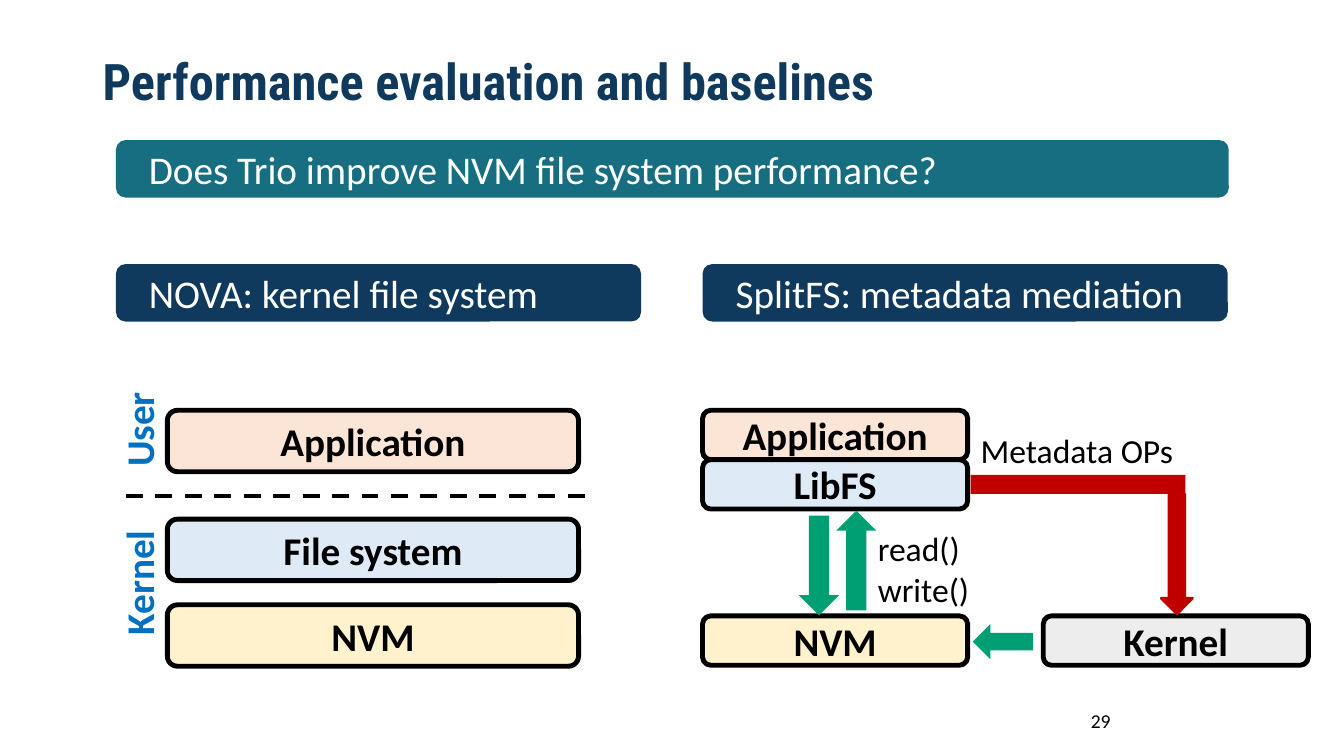
"""Build the slide on performance evaluation and its file system baselines."""
from dataclasses import dataclass

from lxml import etree
from pptx import Presentation
from pptx import util as u
from pptx.dml.color import RGBColor
from pptx.enum import dml, shapes, text
from pptx.oxml.ns import qn

COLS, ROWS = 133.33, 75
CELL = u.Inches(0.1)
LEFT, RIGHT = 11.5, 69.7
NAVY, TEAL, BLUE = "0F3A5D", "176E80", "0070C0"
PEACH, SKY, SAND, GRAY = "FBE5D6", "DEEBF7", "FFF2CC", "EDEDED"
GREEN, RED, BLACK, WHITE = "009E73", "C00000", "000000", "FFFFFF"


@dataclass
class Banner:
    """A coloured heading bar."""
    x: float
    y: float
    w: float
    words: str
    fill: str


@dataclass
class Layer:
    """An outlined box of a system stack."""
    x: float
    y: float
    w: float
    h: float
    words: str
    fill: str


@dataclass
class Arrow:
    """A block arrow, turned clockwise by an angle."""
    x: float
    y: float
    w: float
    h: float
    turn: int
    color: str
    border: float = 0


@dataclass
class Label:
    """A piece of free text."""
    x: float
    y: float
    w: float
    h: float
    words: str
    size: int = 24
    color: str = BLACK
    bold: bool = False
    turn: int = 0
    font: str = "Calibri"
    centered: bool = False
    middle: bool = False
    spacing: float = 1.0


BANNERS = [
    Banner(LEFT, 13.9, 110.4, "Does Trio improve NVM file system performance?", TEAL),
    Banner(LEFT, 26.2, 52.1, "NOVA: kernel file system", NAVY),
    Banner(RIGHT, 26.2, 52.1, "SplitFS: metadata mediation", NAVY),
]
LAYERS = [
    Layer(16.6, 60, 40.8, 6.1, "NVM", SAND),
    Layer(16.6, 40.7, 40.8, 6.1, "Application", PEACH),
    Layer(16.6, 51.5, 40.8, 6.1, "File system", SKY),
    Layer(RIGHT, 40.7, 26.3, 4.9, "Application", PEACH),
    Layer(RIGHT, 45.6, 26.3, 4.9, "LibFS", SKY),
    Layer(RIGHT, 61.1, 26.3, 4.9, "NVM", SAND),
    Layer(103.5, 61.1, 26.3, 4.9, "Kernel", GRAY),
]
ARROWS = [
    Arrow(76.3, 54.1, 9.9, 4, 90, GREEN),
    Arrow(80, 53.6, 9.9, 4, 270, GREEN),
    Arrow(110.8, 53.4, 11.9, 3.1, 90, RED, 2),
    Arrow(96.5, 61.9, 6, 3.5, 180, GREEN),
]
LABELS = [
    Label(9.2, 4, 120.4, 8.7, "Performance evaluation and baselines", 36, NAVY, True,
          font="Roboto Condensed", middle=True, spacing=0.9),
    Label(94.2, 69.5, 30, 4, "29", 14, centered=True, middle=True),
    Label(8.7, 39.4, 10.1, 5.7, "User", 28, BLUE, True, 270),
    Label(7.4, 54.8, 12.7, 5.7, "Kernel", 28, BLUE, True, 270),
    Label(86.1, 51.9, 11.7, 9.9, "read()\nwrite()"),
    Label(96.3, 42.2, 21.3, 4.9, "Metadata OPs"),
]


def cells(*counts: float) -> list[u.Length]:
    """Turn counts of grid cells into lengths."""
    return [u.Emu(round(n * CELL)) for n in counts]


def rgb(color: str) -> RGBColor:
    """Turn a hex string into a colour."""
    return RGBColor.from_string(color)


def write(sp, words: str, size: int, color: str, bold: bool = False,
          font: str = "Calibri", centered: bool = False, middle: bool = True):
    """Fill a shape with text and return its frame."""
    tf = sp.text_frame
    tf.word_wrap = True
    tf.vertical_anchor = text.MSO_ANCHOR.MIDDLE if middle else text.MSO_ANCHOR.TOP
    tf.text = words
    for p in tf.paragraphs:
        p.alignment = text.PP_ALIGN.CENTER if centered else text.PP_ALIGN.LEFT
        p.font.name, p.font.size, p.font.bold = font, u.Pt(size), bold
        p.font.color.rgb = rgb(color)
    return tf


def draw_block(s, kind, box: tuple, fill: str, line: str = BLACK, border: float = 0):
    """Draw a filled preset shape, outlined if it has a border."""
    sp = s.shapes.add_shape(kind, *cells(*box))
    sp.shadow.inherit = False
    sp.fill.solid()
    sp.fill.fore_color.rgb = rgb(fill)
    if border:
        sp.line.color.rgb = rgb(line)
        sp.line.width = u.Pt(border)
    else:
        sp.line.fill.background()
    return sp


def draw_banner(s, b: Banner) -> None:
    """Draw a heading bar."""
    sp = draw_block(s, shapes.MSO_SHAPE.ROUNDED_RECTANGLE, (b.x, b.y, b.w, 5.7), b.fill)
    write(sp, b.words, 28, WHITE).margin_left = u.Inches(0.3)


def draw_layer(s, b: Layer) -> None:
    """Draw a box of a stack."""
    sp = draw_block(s, shapes.MSO_SHAPE.ROUNDED_RECTANGLE, (b.x, b.y, b.w, b.h),
                    b.fill, border=3.5)
    write(sp, b.words, 28, BLACK, True, centered=True)


def draw_arrow(s, a: Arrow) -> None:
    """Draw a block arrow."""
    sp = draw_block(s, shapes.MSO_SHAPE.RIGHT_ARROW, (a.x, a.y, a.w, a.h),
                    a.color, a.color, a.border)
    sp.rotation = a.turn


def draw_label(s, t: Label) -> None:
    """Draw a piece of free text."""
    sp = s.shapes.add_textbox(*cells(t.x, t.y, t.w, t.h))
    sp.rotation = t.turn
    tf = write(sp, t.words, t.size, t.color, t.bold, t.font, t.centered, t.middle)
    for p in tf.paragraphs:
        p.line_spacing = t.spacing


def draw_boundary(s) -> None:
    """Draw the dashed line between user and kernel space."""
    c = s.shapes.add_connector(shapes.MSO_CONNECTOR.STRAIGHT,
                               *cells(12.5, 49.2, 58.9, 49.2))
    c.line.color.rgb = rgb(BLACK)
    c.line.width = u.Pt(3)
    c.line.dash_style = dml.MSO_LINE.DASH
    etree.SubElement(c._element.spPr, qn("a:effectLst"))


def main() -> None:
    """Build and save the slide."""
    prs = Presentation()
    prs.slide_width, prs.slide_height = cells(COLS, ROWS)
    s = prs.slides.add_slide(prs.slide_layouts[6])
    for b in BANNERS:
        draw_banner(s, b)
    for b in LAYERS:
        draw_layer(s, b)
    draw_boundary(s)
    for a in ARROWS:
        draw_arrow(s, a)
    draw_block(s, shapes.MSO_SHAPE.RECTANGLE, (96.3, 47.1, 21.3, 1.9), RED)
    for t in LABELS:
        draw_label(s, t)
    prs.save("out.pptx")


if __name__ == "__main__":
    main()
